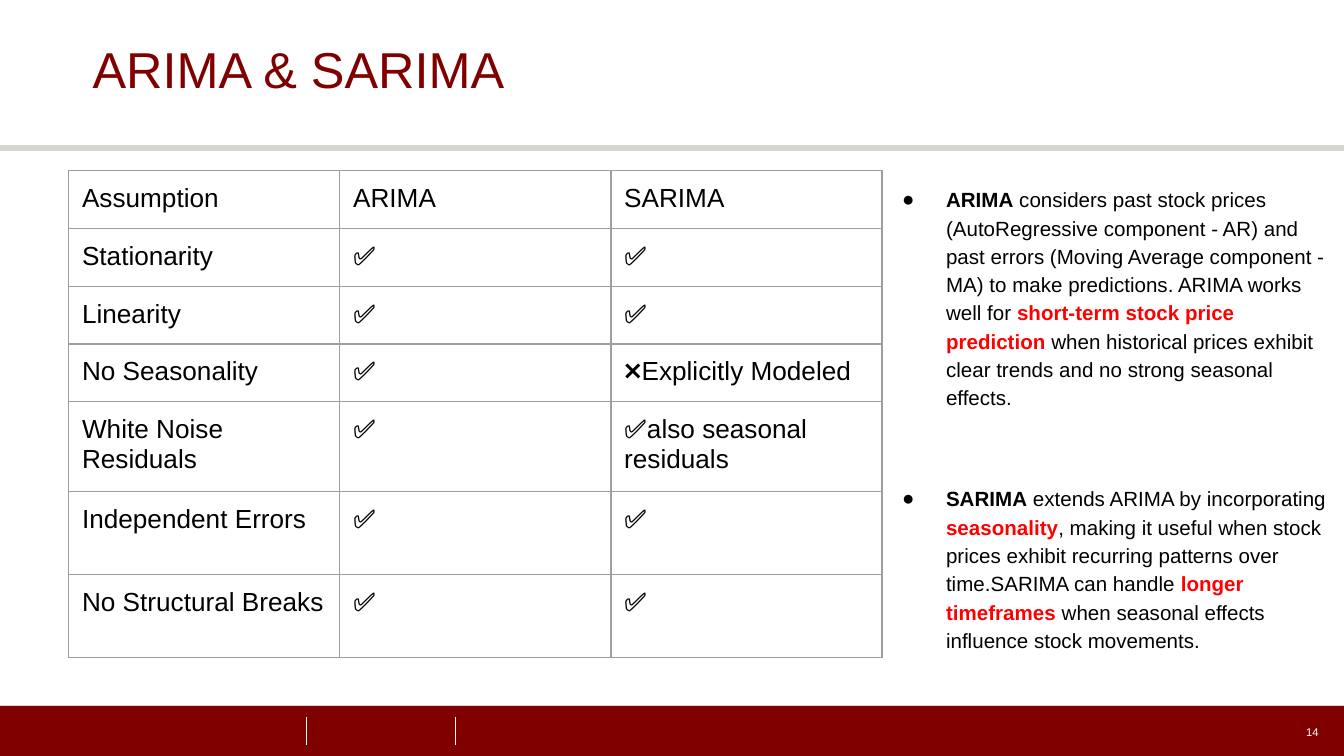
from lxml import etree
from pptx import Presentation
from pptx.dml.color import RGBColor
from pptx.enum.shapes import MSO_CONNECTOR, MSO_SHAPE
from pptx.enum.text import MSO_ANCHOR, MSO_AUTO_SIZE, PP_ALIGN
from pptx.oxml import parse_xml
from pptx.oxml.ns import nsdecls, qn
from pptx.util import Cm, Pt

STRAIGHT = MSO_CONNECTOR.STRAIGHT
RECTANGLE = MSO_SHAPE.RECTANGLE
MIDDLE = MSO_ANCHOR.MIDDLE
NO_AUTOFIT = MSO_AUTO_SIZE.NONE
LEFT, RIGHT = PP_ALIGN.LEFT, PP_ALIGN.RIGHT

FONT = "Arial"
COLORS = {
    "maroon": "800000",
    "rule": "D6D6CE",
    "border": "9E9E9E",
    "highlight": "FF0000",
    "text": "000000",
    "white": "FFFFFF",
}
SLIDE_WIDTH, SLIDE_HEIGHT = 25.4, 14.29
YES = "✅"
ASSUMPTIONS = [
    ("Assumption", "ARIMA", "SARIMA"),
    ("Stationarity", YES, YES),
    ("Linearity", YES, YES),
    ("No Seasonality", YES, "❌Explicitly Modeled"),
    ("White Noise Residuals", YES, YES + "also seasonal residuals"),
    ("Independent Errors", YES, YES),
    ("No Structural Breaks", YES, YES),
]
ROW_HEIGHTS = [1.06] * 4 + [1.62] + [1.57] * 2
MODEL_NOTES = [
    [
        ("ARIMA", "bold"),
        (" considers past stock prices (AutoRegressive component - AR) and past errors "
         "(Moving Average component - MA) to make predictions. ARIMA works well for ", "plain"),
        ("short-term stock price prediction ", "key"),
        ("when historical prices exhibit clear trends and no strong seasonal effects.", "plain"),
    ],
    [
        ("SARIMA", "bold"),
        (" extends ARIMA by incorporating ", "plain"),
        ("seasonality", "key"),
        (", making it useful when stock prices exhibit recurring patterns over time."
         "SARIMA can handle ", "plain"),
        ("longer timeframes", "key"),
        (" when seasonal effects influence stock movements.", "plain"),
    ],
]


def rgb(color):
    return RGBColor.from_string(COLORS[color])


def set_font(font, size, color):
    font.name = FONT
    font.size = Pt(size)
    font.color.rgb = rgb(color)


def set_margins(frame, horizontal, vertical):
    frame.margin_left = frame.margin_right = Cm(horizontal)
    frame.margin_top = frame.margin_bottom = Cm(vertical)


def add_rule(slide, x1, y1, x2, y2, color, width):
    rule = slide.shapes.add_connector(STRAIGHT, Cm(x1), Cm(y1), Cm(x2), Cm(y2))
    rule.line.color.rgb = rgb(color)
    rule.line.width = Pt(width)
    etree.SubElement(rule._element.spPr, qn("a:effectLst"))


def add_header(slide, left, top, width, height):
    title = slide.shapes.title
    title.left, title.top, title.width, title.height = map(Cm, (left, top, width, height))
    frame = title.text_frame
    frame.auto_size = NO_AUTOFIT
    frame.vertical_anchor = MIDDLE
    set_margins(frame, 0, 0.1)
    heading = frame.paragraphs[0]
    heading.text = "ARIMA & SARIMA"
    heading.alignment = LEFT
    heading.line_spacing = 0.9
    set_font(heading.font, 27, "maroon")
    add_rule(slide, 0, 2.8, SLIDE_WIDTH, 2.8, "rule", 3)


def add_footer(slide, left, top, width, height):
    band = slide.shapes.add_shape(RECTANGLE, Cm(left), Cm(top), Cm(width), Cm(height))
    band.shadow.inherit = False
    band.fill.solid()
    band.fill.fore_color.rgb = rgb("maroon")
    band.line.fill.background()
    add_rule(slide, left, top, left + width, top, "rule", 0.75)
    for divider in (5.79, 8.61):
        add_rule(slide, left + divider, top + 0.23, left + divider, top + 0.76, "white", 0.75)

    number_width = 7.16
    page_number = slide.shapes.add_textbox(
        Cm(left + width - number_width - 0.3), Cm(top + 0.13), Cm(number_width), Cm(0.76))
    frame = page_number.text_frame
    frame.word_wrap = True
    frame.vertical_anchor = MIDDLE
    set_margins(frame, 0.18, 0.1)
    number = frame.paragraphs[0]
    number.text = "14"
    number.alignment = RIGHT
    set_font(number.font, 6, "white")


def add_borders(cell):
    properties = cell._tc.get_or_add_tcPr()
    for side in ("lnL", "lnR", "lnT", "lnB"):
        properties.append(parse_xml(
            f'<a:{side} {nsdecls("a")} w="{Pt(0.75)}"><a:solidFill>'
            f'<a:srgbClr val="{COLORS["border"]}"/></a:solidFill></a:{side}>'))


def add_assumptions(slide, left, top, width):
    table = slide.shapes.add_table(
        len(ASSUMPTIONS), len(ASSUMPTIONS[0]),
        Cm(left), Cm(top), Cm(width), Cm(sum(ROW_HEIGHTS))).table
    table.first_row = table.horz_banding = False
    for column in table.columns:
        column.width = Cm(width / len(ASSUMPTIONS[0]))
    for row, height, texts in zip(table.rows, ROW_HEIGHTS, ASSUMPTIONS):
        row.height = Cm(height)
        for cell, text in zip(row.cells, texts):
            add_borders(cell)
            cell.fill.background()
            set_margins(cell, 0.25, 0.25)
            entry = cell.text_frame.paragraphs[0]
            entry.text = text
            set_font(entry.font, 14, "text")


def add_bullet(paragraph):
    properties = paragraph._p.get_or_add_pPr()
    properties.set("marL", str(Cm(1.27)))
    properties.set("indent", str(Cm(-0.83)))
    color = etree.SubElement(properties, qn("a:buClr"))
    etree.SubElement(color, qn("a:srgbClr"), val=COLORS["text"])
    etree.SubElement(properties, qn("a:buFont"), typeface=FONT)
    etree.SubElement(properties, qn("a:buChar"), char="●")


def add_model_notes(slide, left, top, width, height):
    notes = slide.shapes.add_textbox(Cm(left), Cm(top), Cm(width), Cm(height))
    frame = notes.text_frame
    frame.word_wrap = True
    set_margins(frame, 0.25, 0.25)
    for index, pieces in enumerate(MODEL_NOTES):
        note = frame.add_paragraph() if index else frame.paragraphs[0]
        add_bullet(note)
        note.line_spacing = 1.15
        if index:
            note.space_before = Pt(39)
        set_font(note.font, 11, "text")
        for text, style in pieces:
            run = note.add_run()
            run.text = text
            run.font.bold = style != "plain"
            if style == "key":
                run.font.color.rgb = rgb("highlight")


def main():
    deck = Presentation()
    deck.slide_width, deck.slide_height = Cm(SLIDE_WIDTH), Cm(SLIDE_HEIGHT)
    slide = deck.slides.add_slide(deck.slide_layouts.get_by_name("Title Only"))
    add_footer(slide, 0, 13.33, SLIDE_WIDTH, SLIDE_HEIGHT - 13.33)
    add_header(slide, 1.75, 0, 21.9, 2.74)
    add_assumptions(slide, 1.3, 3.22, 15.37)
    add_model_notes(slide, 16.36, 3.22, 9.19, 9.42)
    deck.save("out.pptx")


if __name__ == "__main__":
    main()
